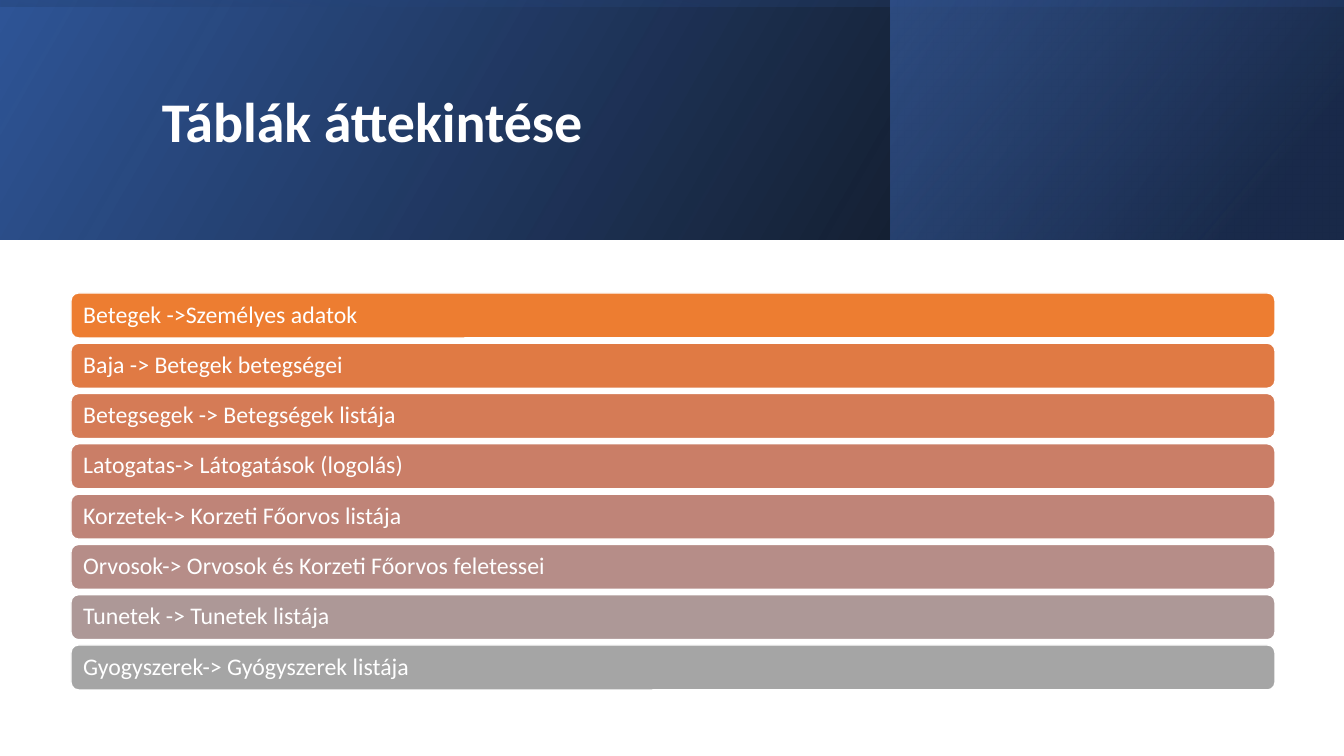
from dataclasses import dataclass

from lxml.etree import SubElement
from pptx import Presentation
from pptx.dml.color import RGBColor
from pptx.enum.shapes import MSO_SHAPE
from pptx.enum.text import MSO_ANCHOR, PP_ALIGN
from pptx.oxml.ns import qn
from pptx.util import Pt

EMU_PER_PX = 914400 / 100.8


@dataclass(frozen=True)
class Theme:
    """Colours, font and type sizes of the slide."""

    white: str = "FFFFFF"
    black: str = "000000"
    blue: str = "2F5597"
    navy: str = "203864"
    sky: str = "4472C4"
    rows: tuple = ("ED7D31", "E07A44", "D57B56", "CA7E67",
                   "BF8478", "B68D88", "AD9897", "A5A5A5")
    font: str = "Calibri"
    title_size: int = 40
    row_size: int = 17


THEME = Theme()

TABLES = (
    "Betegek ->Személyes adatok",
    "Baja -> Betegek betegségei",
    "Betegsegek -> Betegségek listája",
    "Latogatas-> Látogatások (logolás)",
    "Korzetek-> Korzeti Főorvos listája",
    "Orvosok-> Orvosok és Korzeti Főorvos feletessei",
    "Tunetek -> Tunetek listája",
    "Gyogyszerek-> Gyógyszerek listája",
)


def px(*lengths):
    """Turn pixel lengths into EMU."""
    return [round(length * EMU_PER_PX) for length in lengths]


def write_text(shape, text, size, bold=False, inset=10):
    """Write one left-aligned, vertically centred line into a shape."""
    frame = shape.text_frame
    frame.word_wrap = True
    frame.vertical_anchor = MSO_ANCHOR.MIDDLE
    frame.margin_left, frame.margin_right = px(inset, inset)
    frame.margin_top = frame.margin_bottom = 0
    line = frame.paragraphs[0]
    line.alignment = PP_ALIGN.LEFT
    line.line_spacing = 0.9
    run = line.add_run()
    run.text = text
    run.font.name = THEME.font
    run.font.size = Pt(size)
    run.font.bold = bold
    run.font.color.rgb = RGBColor.from_string(THEME.white)


def add_gradient_panel(slide, box, stops, angle, rotation=0):
    """Add a mirrored rectangle with a gradient of (position, colour, opacity) stops."""
    panel = slide.shapes.add_shape(MSO_SHAPE.RECTANGLE, *px(*box))
    panel.shadow.inherit = False
    panel.line.fill.background()
    panel.rotation = rotation
    properties = panel._element.spPr
    properties.find(qn("a:xfrm")).set("flipH", "1")
    panel.fill.gradient()
    gradient = properties.find(qn("a:gradFill"))
    stop_list = gradient.find(qn("a:gsLst"))
    for default_stop in list(stop_list):
        stop_list.remove(default_stop)
    for position, colour, opacity in stops:
        stop = SubElement(stop_list, qn("a:gs"), pos=str(position * 1000))
        shade = SubElement(stop, qn("a:srgbClr"), val=colour)
        SubElement(shade, qn("a:alpha"), val=str(opacity * 1000))
    direction = gradient.find(qn("a:lin"))
    direction.set("ang", str(angle * 60000))
    direction.set("scaled", "0")


def add_row(slide, box, text, colour):
    """Add one rounded bar that names a table."""
    row = slide.shapes.add_shape(MSO_SHAPE.ROUNDED_RECTANGLE, *px(*box))
    row.shadow.inherit = False
    row.fill.solid()
    row.fill.fore_color.rgb = RGBColor.from_string(colour)
    row.line.color.rgb = RGBColor.from_string(THEME.white)
    row.line.width = Pt(1)
    write_text(row, text, THEME.row_size)


def add_header(slide):
    """Add the layered gradient header and its title."""
    add_gradient_panel(slide, (0, 0, 1344, 240),
                       [(0, THEME.black, 96), (100, THEME.blue, 100)], 330)
    add_gradient_panel(slide, (891, 0, 452, 240),
                       [(19, THEME.navy, 68), (100, THEME.sky, 48)], 320)
    add_gradient_panel(slide, (552, -552, 240, 1344),
                       [(23, THEME.blue, 16), (99, THEME.black, 45)], 350, rotation=270)
    title = slide.shapes.add_textbox(*px(152, 38, 1072, 173))
    write_text(title, "Táblák áttekintése", THEME.title_size, bold=True)


def main():
    """Build the slide and save it."""
    deck = Presentation()
    deck.slide_width, deck.slide_height = px(1344, 756)
    slide = deck.slides.add_slide(deck.slide_layouts[6])
    add_header(slide)
    first_top, last_top = 293, 645
    pitch = (last_top - first_top) / (len(TABLES) - 1)
    for index, (text, colour) in enumerate(zip(TABLES, THEME.rows)):
        add_row(slide, (71, first_top + index * pitch, 1204, 45), text, colour)
    deck.save("out.pptx")


if __name__ == "__main__":
    main()
